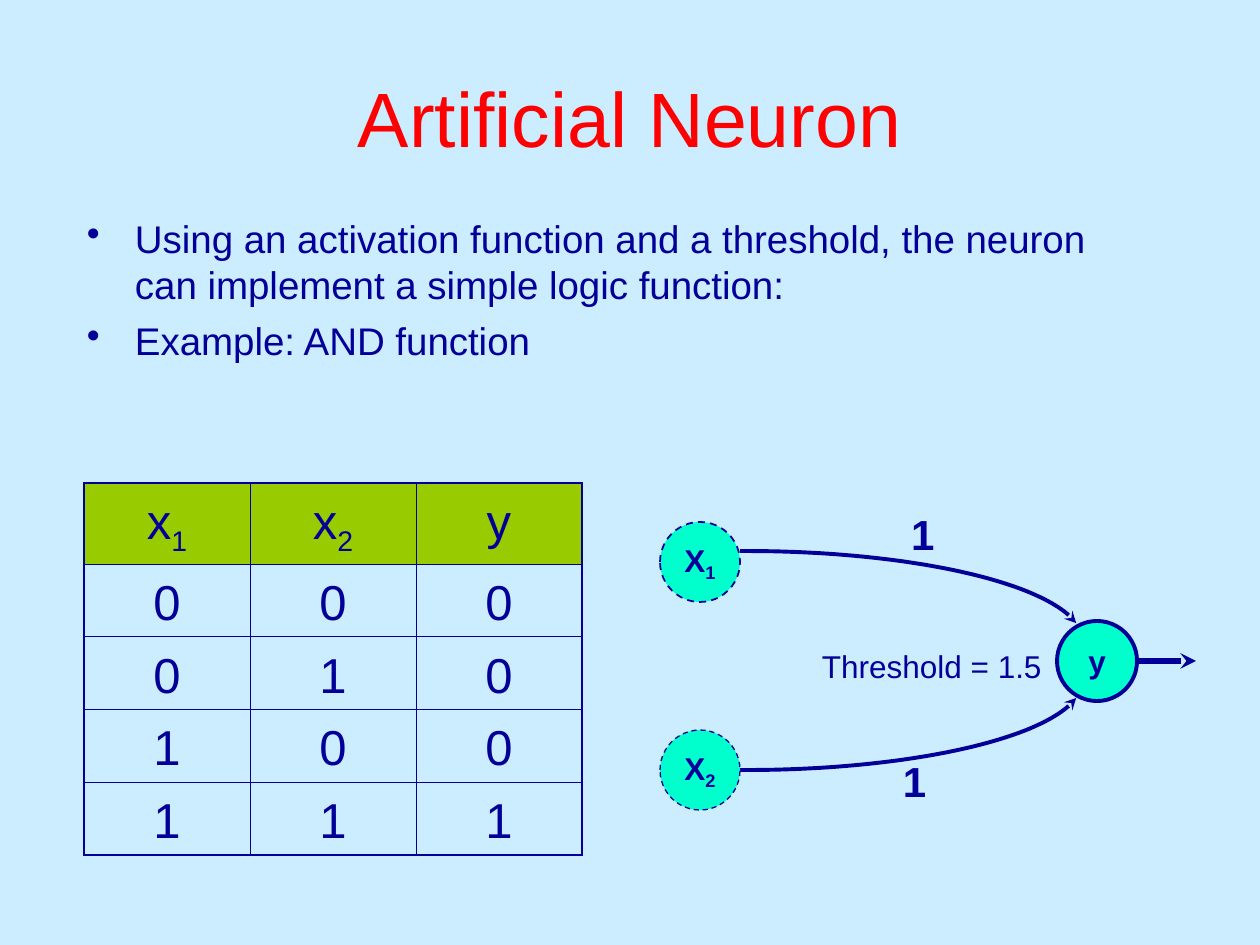
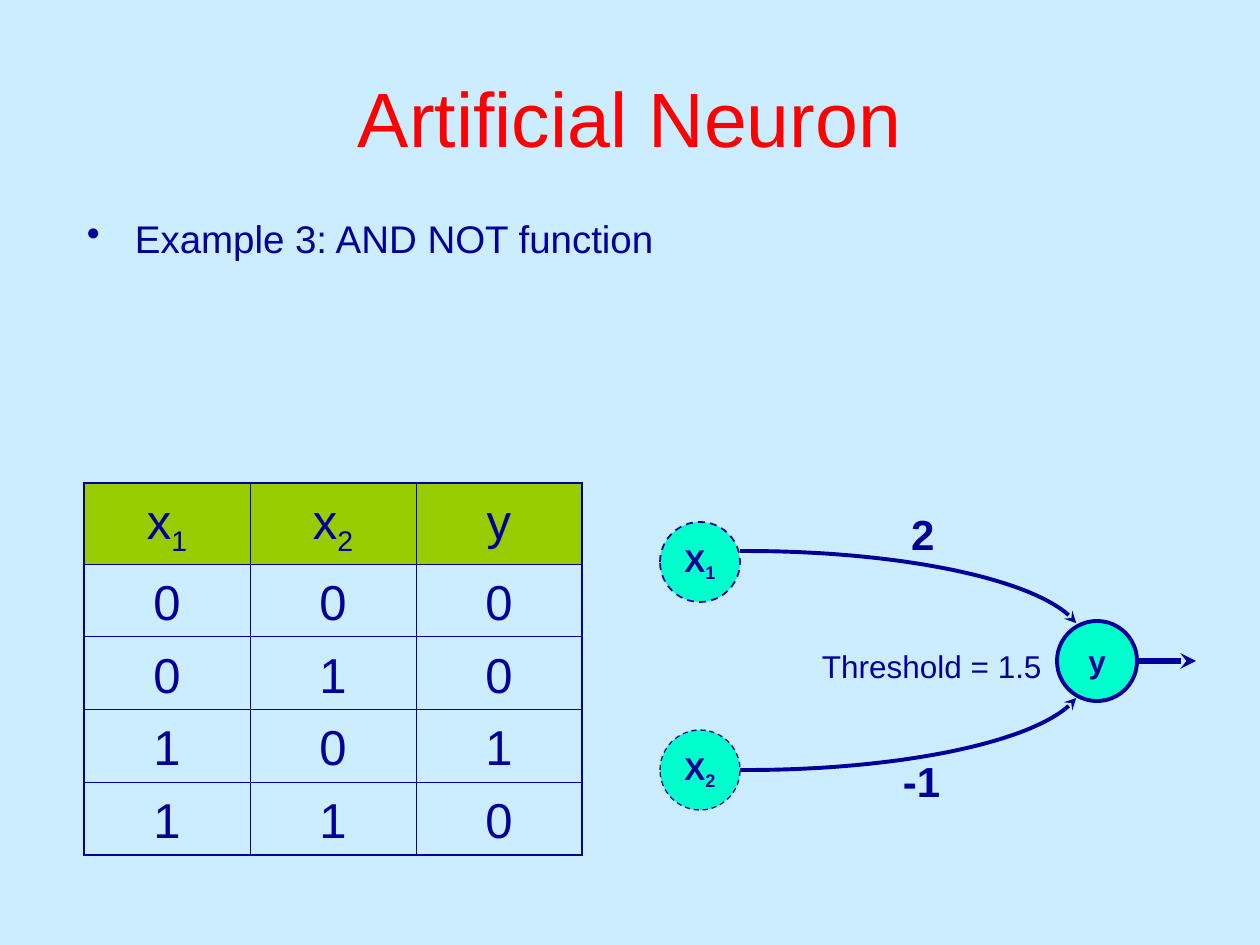
from dataclasses import dataclass
from math import cos, radians, sin

from lxml import etree
from pptx import Presentation
from pptx import util as u
from pptx.dml.color import RGBColor
from pptx.enum import dml, shapes, text
from pptx.oxml import ns


@dataclass(frozen=True)
class Theme:
    font: str = "Arial"
    sky: str = "CCECFF"
    red: str = "FF0000"
    navy: str = "000099"
    mint: str = "00FFCC"
    green: str = "99CC00"
    title: int = 44
    table: int = 28
    weight: int = 24
    body: int = 22
    node: int = 18


THEME = Theme()
PX = u.Inches(1) / 126
NODE = 80


def px(length):
    return u.Emu(round(length * PX))


def color(code):
    return RGBColor.from_string(code)


def child(parent, tag, **attributes):
    return etree.SubElement(parent, ns.qn(tag), attributes)


def write(frame, *lines, size, ink=THEME.navy, bold=False, align="LEFT",
          anchor="TOP", wrap=True, margins=(13, 6), bullet=None, gap=0):
    frame.word_wrap = wrap
    frame.vertical_anchor = text.MSO_ANCHOR[anchor]
    frame.margin_left = frame.margin_right = px(margins[0])
    frame.margin_top = frame.margin_bottom = px(margins[1])
    for index, line in enumerate(lines):
        paragraph = frame.add_paragraph() if index else frame.paragraphs[0]
        paragraph.alignment = text.PP_ALIGN[align]
        if index:
            paragraph.space_before = u.Pt(gap)
        if bullet:
            properties = paragraph._p.get_or_add_pPr()
            properties.set("marL", str(px(48)))
            properties.set("indent", str(px(-48)))
            child(child(properties, "a:buClr"), "a:srgbClr", val=ink)
            child(properties, "a:buChar", char=bullet)
        base, _, subscript = line.partition("_")
        for part, baseline in ((base, 0), (subscript, -25000)):
            if part:
                run = paragraph.add_run()
                run.text = part
                run.font.name = THEME.font
                run.font.size = u.Pt(size)
                run.font.bold = bold
                run.font.color.rgb = color(ink)
                if baseline:
                    run._r.get_or_add_rPr().set("baseline", str(baseline))


def label(slide, box, *lines, **style):
    frame = slide.shapes.add_textbox(*map(px, box)).text_frame
    write(frame, *lines, **style)


def outline(shape, width):
    shape.line.color.rgb = color(THEME.navy)
    shape.line.width = u.Pt(width)


def arrowhead(shape):
    child(shape.line._get_or_add_ln(), "a:tailEnd", type="stealth")


def border(cell, side, width):
    line = child(cell._tc.get_or_add_tcPr(), f"a:ln{side}", w=str(u.Pt(width)))
    child(child(line, "a:solidFill"), "a:srgbClr", val=THEME.navy)


def truth_table(slide, box, outputs):
    inputs = [(0, 0), (0, 1), (1, 0), (1, 1)]
    rows = [("x_1", "x_2", "y")] + [(*pair, y) for pair, y in zip(inputs, outputs)]
    table = slide.shapes.add_table(5, 3, *map(px, box)).table
    table.first_row = table.horz_banding = False
    for r, values in enumerate(rows):
        table.rows[r].height = px(72 if r else 80)
        for c, value in enumerate(values):
            cell = table.cell(r, c)
            write(cell.text_frame, str(value), size=THEME.table, align="CENTER")
            cell.margin_left = cell.margin_right = px(13)
            cell.margin_top, cell.margin_bottom = px(12), px(2)
            edges = {"L": c == 0, "R": c == 2, "T": r == 0, "B": r == 4}
            for side, outer in edges.items():
                border(cell, side, 1.08 if outer else 0.45)
            if r:
                cell.fill.background()
            else:
                cell.fill.solid()
                cell.fill.fore_color.rgb = color(THEME.green)


def node(slide, left, top, name, width, dashed=False):
    circle = slide.shapes.add_shape(
        shapes.MSO_SHAPE.OVAL, px(left), px(top), px(NODE), px(NODE))
    circle.shadow.inherit = False
    circle.fill.solid()
    circle.fill.fore_color.rgb = color(THEME.mint)
    outline(circle, width)
    if dashed:
        circle.line.dash_style = dml.MSO_LINE.DASH
    write(circle.text_frame, name, size=THEME.node, bold=True, align="CENTER",
          anchor="MIDDLE", wrap=False)


def synapse(slide, center_x, center_y, direction):
    arc = [(px(center_x + 337 * cos(radians(angle / 2))),
            px(center_y + direction * 90 * sin(radians(angle / 2))))
           for angle in range(182, 20, -3)]
    builder = slide.shapes.build_freeform(*arc[0])
    builder.add_line_segments(arc[1:], close=False)
    curve = builder.convert_to_shape()
    curve.shadow.inherit = False
    curve.fill.background()
    outline(curve, 2.25)
    arrowhead(curve)


def neuron(slide, left, top, weights):
    node(slide, left, top + 19, "X_1", 1, dashed=True)
    node(slide, left, top + 227, "X_2", 0.75, dashed=True)
    node(slide, left + 397, top + 118, "y", 2.25)
    synapse(slide, left + 86, top + 138, -1)
    synapse(slide, left + 86, top + 177, 1)
    axon = slide.shapes.add_connector(
        shapes.MSO_CONNECTOR.STRAIGHT, px(left + 477), px(top + 158),
        px(left + 536), px(top + 158))
    outline(axon, 3)
    arrowhead(axon)
    child(axon._element.spPr, "a:effectLst")
    for weight, x, y in zip(weights, (238, 230), (0, 247)):
        label(slide, (left + x, top + y, NODE, 63), weight,
              size=THEME.weight, bold=True)
    label(slide, (left + 149, top + 138, 250, 50), "Threshold = 1.5",
          size=THEME.node)


def logic_slide(deck, points, outputs, weights):
    slide = deck.slides.add_slide(deck.slide_layouts[6])
    label(slide, (63, 38, 1134, 158), "Artificial Neuron", size=THEME.title,
          ink=THEME.red, align="CENTER", anchor="MIDDLE")
    label(slide, (74, 209, 1072, 238), *points, size=THEME.body,
          bullet="•", gap=5.5)
    truth_table(slide, (84, 483, 498, 368), outputs)
    neuron(slide, 660, 503, weights)


def main():
    deck = Presentation()
    deck.slide_width, deck.slide_height = px(1260), px(945)
    background = deck.slide_master.background.fill
    background.solid()
    background.fore_color.rgb = color(THEME.sky)
    logic_slide(deck, [
        "Using an activation function and a threshold, the neuron can implement "
        "a simple logic function:",
        "Example: AND function",
    ], (0, 0, 0, 1), ("1", "1"))
    logic_slide(deck, ["Example 3: AND NOT function"], (0, 0, 1, 0), ("2", "-1"))
    deck.save("out.pptx")


if __name__ == "__main__":
    main()
